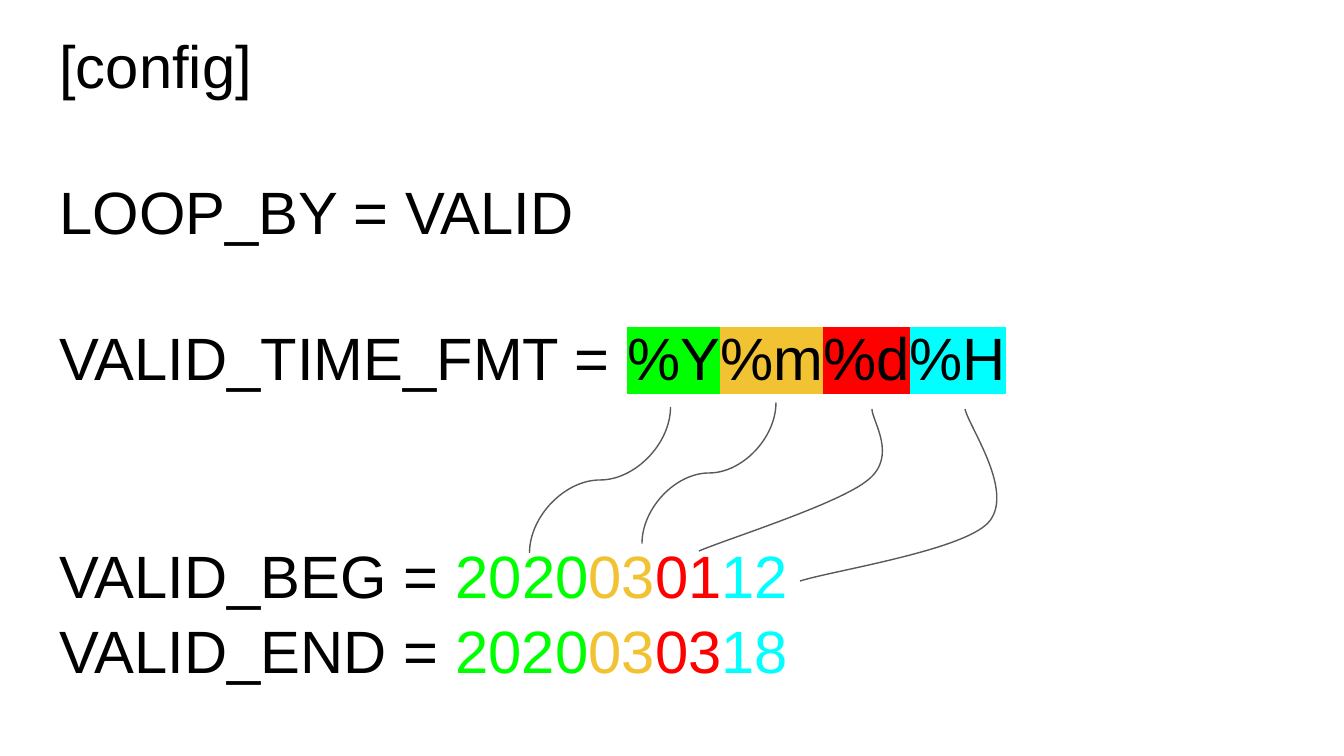
"""Build a slide that maps time format codes to the digits of a date."""
from dataclasses import dataclass

from lxml import etree
from pptx import Presentation
from pptx import util as u
from pptx.dml.color import RGBColor
from pptx.enum import shapes, text
from pptx.oxml.ns import qn

SCALE = 914400 / 134.4
PITCH = 38.36
LINE_HEIGHT = 36.77
COLORS = {
    "ink": "000000",
    "link": "595959",
    "year": "00FF00",
    "month": "F1C232",
    "day": "FF0000",
    "hour": "00FFFF",
}
UNITS = ("year", "month", "day", "hour")
TITLE_BOX = {"left": 46, "top": -44, "width": 1253, "height": 743}
FRAME_FORMAT = {
    "word_wrap": True,
    "auto_size": text.MSO_AUTO_SIZE.NONE,
    "vertical_anchor": text.MSO_ANCHOR.BOTTOM,
}
MARGINS = ("margin_left", "margin_top", "margin_right", "margin_bottom")
FONT_FORMAT = {"name": "Arial", "size": u.Pt(32), "bold": False}


@dataclass(frozen=True)
class Setting:
    label: str
    advance: int = 0
    fields: tuple[str, ...] = ()
    highlighted: bool = False


@dataclass(frozen=True)
class StepLink:
    center_x: int
    center_y: int
    length: int
    breadth: int


@dataclass(frozen=True)
class BentLink:
    box: tuple[int, int, int, int]
    start: tuple[int, int]
    curves: tuple[tuple[tuple[int, int], ...], ...]


SETTINGS = (
    Setting("[config]"),
    Setting("LOOP_BY = VALID", 2),
    Setting("VALID_TIME_FMT = ", 2, ("%Y", "%m", "%d", "%H"), True),
    Setting("VALID_BEG = ", 3, ("2020", "03", "01", "12")),
    Setting("VALID_END = ", 1, ("2020", "03", "03", "18")),
)
YEAR_LINK = StepLink(600, 480, 146, 141)
MONTH_LINK = StepLink(709, 473, 141, 134)
DAY_LINK = BentLink(
    (699, 409, 883, 551),
    (872, 409),
    (((872, 421), (898, 456), (868, 480)), ((839, 504), (727, 539), (699, 551))),
)
HOUR_LINK = BentLink(
    (800, 409, 997, 581),
    (965, 409),
    (((969, 427), (1016, 493), (988, 523)), ((961, 551), (831, 571), (800, 581))),
)


def px(length: float) -> u.Emu:
    return u.Emu(round(length * SCALE))


def apply(target, values: dict) -> None:
    for name, value in values.items():
        setattr(target, name, value)


def add_run(paragraph, words: str, color: str, highlight: str = "") -> None:
    run = paragraph.add_run()
    run.text = words
    apply(run.font, FONT_FORMAT)
    run.font.color.rgb = RGBColor.from_string(COLORS[color])
    if highlight:
        marker = etree.Element(qn("a:highlight"))
        etree.SubElement(marker, qn("a:srgbClr"), val=COLORS[highlight])
        run.font._element.find(qn("a:solidFill")).addnext(marker)


def write_setting(paragraph, setting: Setting) -> None:
    gap = setting.advance * PITCH - LINE_HEIGHT if setting.advance else 0
    apply(paragraph, {
        "alignment": text.PP_ALIGN.LEFT,
        "line_spacing": 1.0,
        "space_before": u.Pt(gap),
    })
    add_run(paragraph, setting.label, "ink")
    for unit, field in zip(UNITS, setting.fields):
        if setting.highlighted:
            add_run(paragraph, field, "ink", unit)
        else:
            add_run(paragraph, field, unit)


def style_line(line) -> None:
    line.color.rgb = RGBColor.from_string(COLORS["link"])
    line.width = u.Pt(0.75)


def draw_step(slide, link: StepLink) -> None:
    left = link.center_x - link.length / 2
    top = link.center_y - link.breadth / 2
    connector = slide.shapes.add_connector(
        shapes.MSO_CONNECTOR.CURVE,
        px(left), px(top), px(left + link.length), px(top + link.breadth),
    )
    style_line(connector.line)
    properties = connector._element.spPr
    properties.find(qn("a:xfrm")).set("rot", "5400000")
    etree.SubElement(properties, qn("a:effectLst"))


def draw_bent(slide, link: BentLink) -> None:
    left, top, right, bottom = link.box
    builder = slide.shapes.build_freeform(left, top, scale=SCALE)
    builder.add_line_segments([(right, bottom)], close=False)
    curve = builder.convert_to_shape()
    outline = next(curve._element.iter(qn("a:path")))
    for segment in list(outline):
        outline.remove(segment)
    segments = [("a:moveTo", (link.start,))]
    segments += [("a:cubicBezTo", points) for points in link.curves]
    for tag, points in segments:
        segment = etree.SubElement(outline, qn(tag))
        for x, y in points:
            etree.SubElement(segment, qn("a:pt"), x=str(x - left), y=str(y - top))
    curve.fill.background()
    curve.shadow.inherit = False
    style_line(curve.line)


def main() -> None:
    deck = Presentation()
    apply(deck, {"slide_width": px(1344), "slide_height": px(756)})
    slide = deck.slides.add_slide(deck.slide_layouts[0])
    subtitle = slide.placeholders[1]._element
    subtitle.getparent().remove(subtitle)

    config = slide.shapes.title
    apply(config, {side: px(length) for side, length in TITLE_BOX.items()})
    frame = config.text_frame
    apply(frame, FRAME_FORMAT)
    apply(frame, dict.fromkeys(MARGINS, u.Inches(0.1)))
    for index, setting in enumerate(SETTINGS):
        paragraph = frame.add_paragraph() if index else frame.paragraphs[0]
        write_setting(paragraph, setting)

    draw_step(slide, YEAR_LINK)
    for bent_link in (HOUR_LINK, DAY_LINK):
        draw_bent(slide, bent_link)
    draw_step(slide, MONTH_LINK)
    deck.save("out.pptx")


if __name__ == "__main__":
    main()
